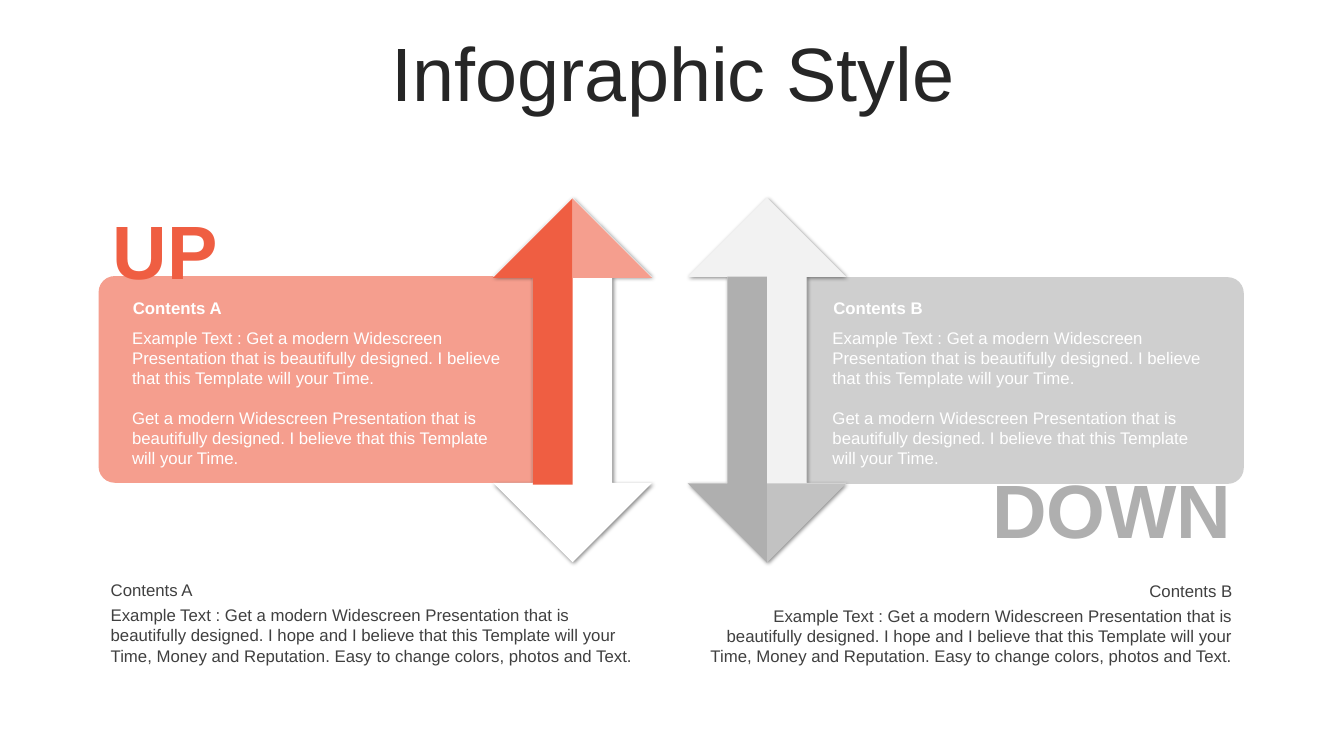
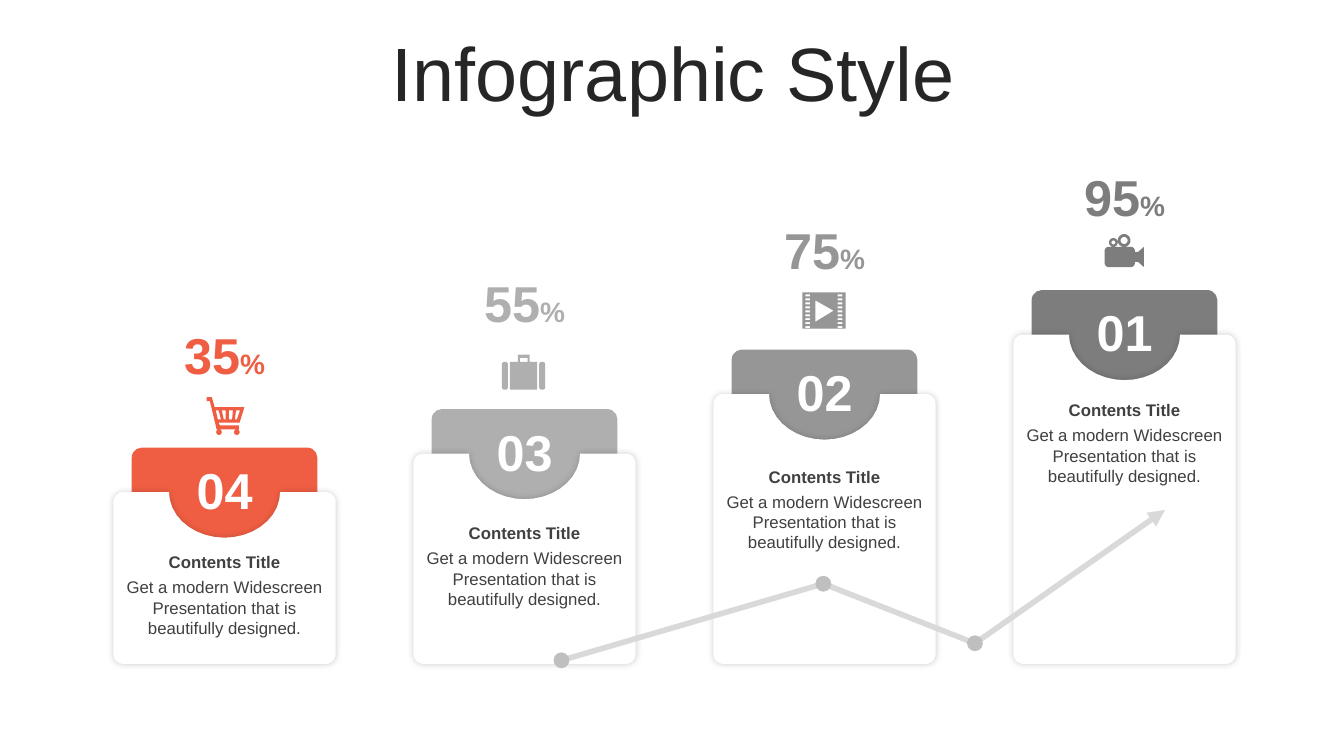
from math import cos, radians, sin

from lxml import etree
from pptx import Presentation
from pptx.dml.color import RGBColor
from pptx.enum.shapes import MSO_CONNECTOR, MSO_SHAPE
from pptx.enum.text import MSO_ANCHOR, MSO_AUTO_SIZE, PP_ALIGN
from pptx.oxml.ns import qn
from pptx.util import Cm, Pt

LEFT, MID, RIGHT = PP_ALIGN.LEFT, PP_ALIGN.CENTER, PP_ALIGN.RIGHT
TOP, HALF = MSO_ANCHOR.TOP, MSO_ANCHOR.MIDDLE
FIXED = MSO_AUTO_SIZE.NONE
PANEL, ARROW = MSO_SHAPE.ROUND_2_SAME_RECTANGLE, MSO_SHAPE.UP_DOWN_ARROW
ROUND, OVAL = MSO_SHAPE.ROUNDED_RECTANGLE, MSO_SHAPE.OVAL
LINE = MSO_CONNECTOR.STRAIGHT

FONT = "Arial"
WHITE, PALE, DARK, INK = "FFFFFF", "F2F2F2", "404040", "262626"
RED, ROSE = "EF5E42", "F59E8E"
GREY, LIGHT, STEEL, SLATE = "AFAFAF", "CFCFCF", "969696", "7D7D7D"
TRACK, DOT = "D9D9D9", "BFBFBF"
TITLE = "Infographic Style"
PITCH = "Get a modern Widescreen Presentation that is beautifully designed."


def rgb(code):
    return RGBColor.from_string(code)


def put(obj, fmt):
    for name, value in fmt.items():
        setattr(obj, name, value)


def arc(cx, cy, rx, ry, start, end):
    """Points along an ellipse; angles in degrees, clockwise from the right."""
    steps = max(6, abs(end - start) // 10)
    turns = [radians(start + (end - start) * i / steps) for i in range(steps + 1)]
    return [(cx + rx * cos(t), cy + ry * sin(t)) for t in turns]


def ring(cx, cy, r):
    return arc(cx, cy, r, r, 0, 360)


def rect(x, y, w, h):
    return [(x, y), (x + w, y), (x + w, y + h), (x, y + h)]


def soft(x, y, w, h, r, notch=()):
    """Rounded rectangle, with an optional run of points in its top edge."""
    x2, y2 = x + w - r, y + h - r
    return (arc(x + r, y + r, r, r, 180, 270) + list(notch)
            + arc(x2, y + r, r, r, 270, 360) + arc(x2, y2, r, r, 0, 90)
            + arc(x + r, y2, r, r, 90, 180))


def shift(parts, x, y, flip=1):
    return [[(x + px, y + flip * py) for px, py in part] for part in parts]


def cart():
    frame = [(0, 0), (.13, 0), (.2, .25), (.95, .25), (.83, .64), (.3, .64),
             (.33, .71), (.81, .71), (.81, .81), (.25, .81), (.08, .1), (0, .1)]
    tops = [(.23, .3, .36, .28), (.38, .48, .48, .43),
            (.56, .66, .64, .56), (.74, .84, .76, .71)]
    slots = [[(a, .33), (b, .33), (c, .56), (d, .56)] for a, b, c, d in tops]
    return [frame, *slots, ring(.31, .88, .07), ring(.76, .88, .07)]


def case():
    grip = [(.4, .18), (.4, 0), (.7, 0), (.7, .18),
            (.65, .18), (.65, .08), (.45, .08), (.45, .18)]
    return [soft(0, .18, .15, .7, .06), rect(.2, .18, .69, .7),
            soft(.94, .18, .15, .7, .06), grip]


def film():
    holes = [rect(x, .05 + .1 * i, .12, .05) for x in (.08, .89) for i in range(9)]
    return [rect(0, 0, 1.09, .91), *holes, [(.33, .2), (.33, .74), (.79, .46)]]


def camera():
    lens = [(.76, .46), (.84, .46), (.99, .33), (.99, .84), (.84, .71), (.76, .71)]
    return [soft(0, .33, .76, .51, .1), lens, ring(.49, .17, .16),
            ring(.49, .17, .09), ring(.22, .22, .11), ring(.22, .22, .05)]


class Deck:
    """Holds the presentation, its style and the current slide."""

    def __init__(self):
        self.prs = Presentation()
        put(self.prs, {"slide_width": Cm(33.87), "slide_height": Cm(19.05)})
        self.slide = None

    def page(self, title):
        self.slide = self.prs.slides.add_slide(self.prs.slide_layouts[5])
        head = self.slide.shapes.title
        put(head, {"left": Cm(.89), "top": Cm(.94),
                   "width": Cm(32.16), "height": Cm(2.01)})
        self.lay(head.text_frame, [title], 54, INK, align=MID, anchor=HALF)
        head.text_frame.paragraphs[0].line_spacing = .9

    def run(self, par, words, size, color, bold=False):
        run = par.add_run()
        run.text = words
        put(run.font, {"name": FONT, "size": Pt(size), "bold": bold})
        run.font.color.rgb = rgb(color)

    def lay(self, frame, lines, size, color, bold=False, align=LEFT,
            anchor=TOP, gap=0):
        """Set lines as the paragraphs of a text frame."""
        put(frame, {"word_wrap": True, "auto_size": FIXED, "vertical_anchor": anchor})
        for i, words in enumerate(lines):
            par = frame.add_paragraph() if i else frame.paragraphs[0]
            par.alignment = align
            if i:
                par.space_before = Pt(gap)
            self.run(par, words, size, color, bold)

    def text(self, box, lines, size, color, **style):
        frame = self.slide.shapes.add_textbox(*map(Cm, box)).text_frame
        self.lay(frame, lines, size, color, **style)
        return frame

    def paint(self, shape, color, alpha=None, shadow=None):
        """Fill without outline; shadow is opacity, blur, distance, angle."""
        shape.fill.solid()
        shape.fill.fore_color.rgb = rgb(color)
        shape.line.fill.background()
        shape.shadow.inherit = False
        props = shape._element.spPr
        if alpha:
            tint = props.find(qn("a:solidFill")).find(qn("a:srgbClr"))
            etree.SubElement(tint, qn("a:alpha"), val=str(alpha * 1000))
        if shadow:
            depth, blur, dist, angle = shadow
            cast = etree.SubElement(
                props.find(qn("a:effectLst")), qn("a:outerShdw"),
                blurRad=str(Pt(blur)), dist=str(Pt(dist)),
                dir=str(angle * 60000), algn="ctr", rotWithShape="0")
            tint = etree.SubElement(cast, qn("a:srgbClr"), val="000000")
            etree.SubElement(tint, qn("a:alpha"), val=str(depth * 1000))

    def shape(self, kind, box, color, adjust=(), turn=0, **style):
        shape = self.slide.shapes.add_shape(kind, *map(Cm, box))
        for i, value in enumerate(adjust):
            shape.adjustments[i] = value
        shape.rotation = turn
        self.paint(shape, color, **style)

    def outline(self, parts, color, **style):
        """One shape from several closed contours; inner ones become holes."""
        pen = None
        for part in parts:
            first, *rest = [(Cm(x), Cm(y)) for x, y in part]
            if pen:
                pen.move_to(*first)
            else:
                pen = self.slide.shapes.build_freeform(*first)
            pen.add_line_segments(rest, close=True)
        self.paint(pen.convert_to_shape(), color, **style)

    def line(self, start, end, color, width, arrow=False):
        link = self.slide.shapes.add_connector(LINE, *map(Cm, start + end))
        link.line.color.rgb = rgb(color)
        link.line.width = Pt(width)
        props = link._element.spPr
        if arrow:
            etree.SubElement(props.find(qn("a:ln")), qn("a:tailEnd"), type="triangle")
        etree.SubElement(props, qn("a:effectLst"))


def arrows(deck):
    deck.page(TITLE)
    for x, y, turn, color in ((5.38, 4.06, 270, ROSE), (23.24, 4.09, 90, LIGHT)):
        deck.shape(PANEL, (x, y, 5.21, 11), color, adjust=(.078, 0), turn=turn)
    deck.text((2.59, 5, 4.19, 2.57), ["UP"], 54, RED, bold=True, anchor=HALF)
    deck.text((24.28, 11.53, 7.01, 2.57), ["DOWN"], 54, GREY, bold=True,
              align=RIGHT, anchor=HALF)

    half = [(0, 0), (0, 7.21), (-1, 7.21), (-1, 2), (-2, 2)]
    wing = [(0, 0), (2, 2), (0, 2)]
    for x, tip, flip, base, color, tint, alpha in (
            (14.43, 5, 1, WHITE, RED, ROSE, None),
            (19.33, 14.18, -1, PALE, GREY, GREY, 70)):
        deck.shape(ARROW, (x - 2, 4.98, 4, 9.19), base, shadow=(47, 3, 1, 45))
        deck.outline(shift([half], x, tip, flip), color)
        deck.outline(shift([wing], x, tip, flip), tint, alpha=alpha)

    more = PITCH + " I believe that this Template will your Time."
    story = "Example Text : " + more
    note = ("Example Text : " + PITCH + " I hope and I believe that this Template "
            "will your Time, Money and Reputation. Easy to change colors, "
            "photos and Text.")
    for name, x, foot, y, side in (("Contents A", 3.08, 2.54, 14.48, LEFT),
                                   ("Contents B", 20.73, 17.42, 14.5, RIGHT)):
        deck.text((x + .02, 7.39, 10, .76), [name], 12, WHITE, bold=True)
        deck.text((x, 8.13, 10.05, 3.84), [story, more], 12, WHITE, gap=13.8)
        deck.text((foot, y + .64, 13.89, 1.8), [note], 12, DARK, align=side)
        deck.text((foot, y, 13.89, .76), [name], 12, DARK, align=side)


def cards(deck):
    deck.page(TITLE)
    wide, base = 5.6, 16.73
    items = (("04", "35", RED, 12.4, 13.79, cart, 5.21, 10.01),
             ("03", "55", GREY, 11.43, 13.06, case, 12.65, 8.94),
             ("02", "75", STEEL, 9.93, 11.63, film, 20.22, 7.37),
             ("01", "95", SLATE, 8.43, 9.96, camera, 27.84, 5.89))
    for i, (num, share, color, top, head, icon, ix, iy) in enumerate(items):
        mid = 5.66 + 7.56 * i
        x = mid - wide / 2
        deck.shape(ROUND, (mid - 2.34, top - 1.12, 4.68, 3.1), color, adjust=(.081,))
        notch = arc(mid, top, 1.4, 1.15, 180, 0)
        deck.outline([soft(x, top, wide, base - top, .25, notch)], WHITE,
                     shadow=(20, 5, 0, 0))
        frame = deck.text((mid - 1.22, top - .83, 2.44, 1.55), [num], 36, WHITE,
                          bold=True, align=MID)
        put(frame, {"margin_left": Cm(.2), "margin_right": Cm(.2),
                    "margin_top": 0, "margin_bottom": 0})
        deck.text((x, head + .63, wide, 1.8), [PITCH], 12, DARK, align=MID)
        deck.text((x, head, wide, .76), ["Contents Title"], 12, DARK,
                  bold=True, align=MID)
        frame = deck.text((mid - 1.55, 8.05 - 1.33 * i, 3.1, 1.8), [share], 36,
                          color, bold=True, align=MID)
        deck.run(frame.paragraphs[0], "%", 20, color, bold=True)
        deck.outline(shift(icon(), ix, iy), color)

    trend = [(14.15, 16.64), (20.75, 14.71), (24.57, 16.21), (29.36, 12.85)]
    for start, end in zip(trend, trend[1:]):
        deck.line(start, end, TRACK, 4, arrow=end == trend[-1])
    for x, y in trend[:-1]:
        deck.shape(OVAL, (x - .2, y - .2, .4, .4), DOT)


def main():
    deck = Deck()
    arrows(deck)
    cards(deck)
    deck.prs.save("out.pptx")


if __name__ == "__main__":
    main()
